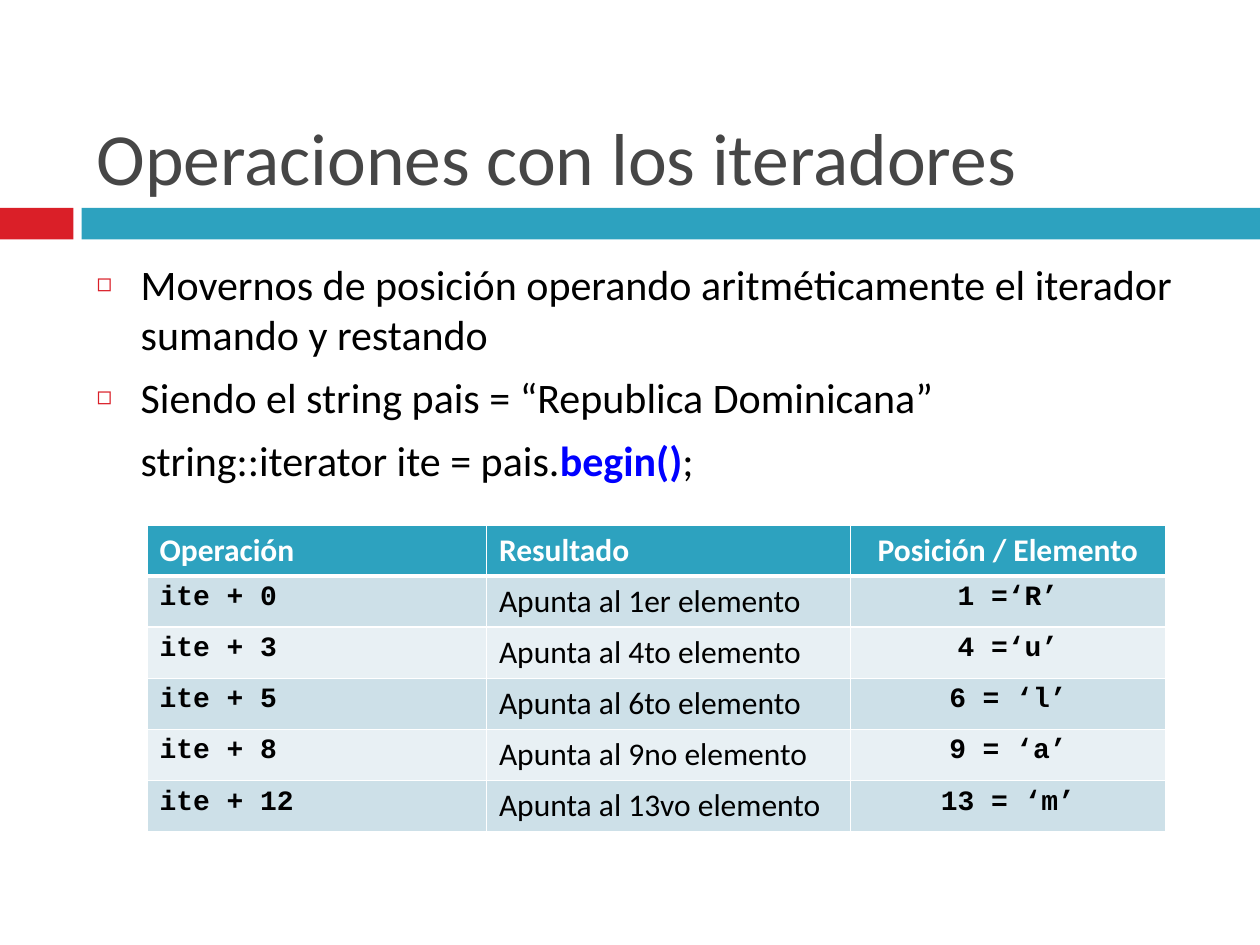
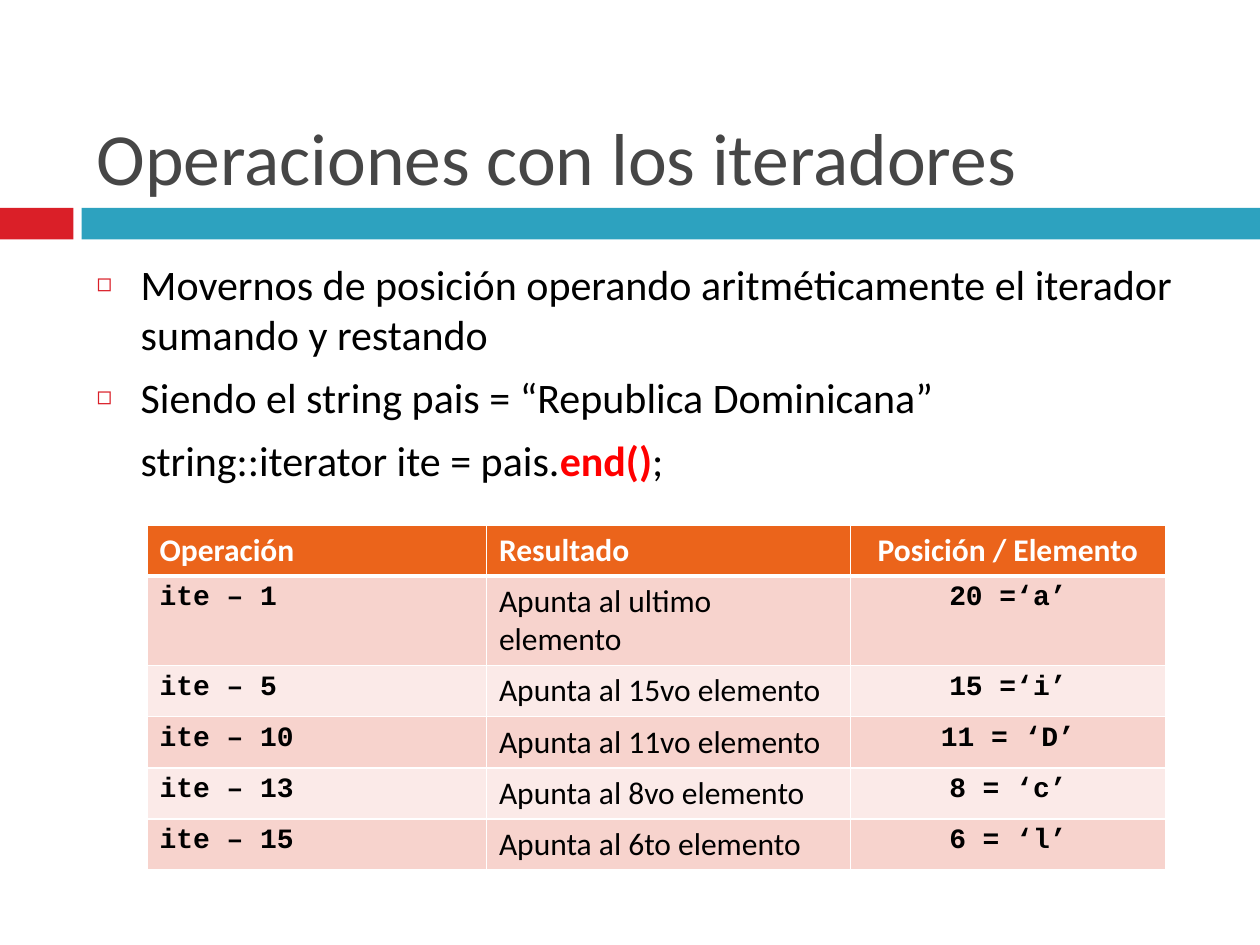
from lxml import etree
from pptx import Presentation
from pptx.dml.color import RGBColor
from pptx.enum.shapes import MSO_SHAPE
from pptx.enum.text import MSO_ANCHOR, MSO_AUTO_SIZE, PP_ALIGN
from pptx.oxml.ns import qn
from pptx.util import Pt

RECT = MSO_SHAPE.RECTANGLE
TOP, BOTTOM = MSO_ANCHOR.TOP, MSO_ANCHOR.BOTTOM
FIXED = MSO_AUTO_SIZE.NONE
LEFT, CENTER = PP_ALIGN.LEFT, PP_ALIGN.CENTER

SANS, MONO = "Calibri", "Courier New"
BLACK = RGBColor(0x00, 0x00, 0x00)
WHITE = RGBColor(0xFF, 0xFF, 0xFF)
GRAY = RGBColor(0x46, 0x46, 0x46)
RED = RGBColor(0xDA, 0x1F, 0x28)
TEAL = RGBColor(0x2D, 0xA2, 0xBF)
ORANGE = RGBColor(0xEB, 0x64, 0x1B)
BLUE = RGBColor(0x00, 0x00, 0xFF)
BRIGHT = RGBColor(0xFF, 0x00, 0x00)
SKY = (RGBColor(0xCD, 0xE0, 0xE8), RGBColor(0xE8, 0xF0, 0xF4))
ROSE = (RGBColor(0xF7, 0xD3, 0xCD), RGBColor(0xFB, 0xEA, 0xE8))

# Boxes: left, top, width, height in points
WIDTH, HEIGHT = 720, 540
TITLE_BOX = (48, 12, 642, 106)
BAND_BOX = (0, 118.8, WIDTH, 18)
BODY_BOX = (48, 144, 642, 342)
TABLE_BOX = (84, 300, 582, 175)

TITLE = "Operaciones con los iteradores"
POINTS = ("Movernos de posición operando aritméticamente el iterador "
          "sumando y restando",
          "Siendo el string pais = “Republica Dominicana”")
HEADS = ("Operación", "Resultado", "Posición / Elemento")
SHARES = (194, 208, 180)
INDENT = 25.2

START = (
    ("ite + 0", "Apunta al 1er elemento", "1 =‘R’"),
    ("ite + 3", "Apunta al 4to elemento", "4 =‘u’"),
    ("ite + 5", "Apunta al 6to elemento", "6 = ‘l’"),
    ("ite + 8", "Apunta al 9no elemento", "9 = ‘a’"),
    ("ite + 12", "Apunta al 13vo elemento", "13 = ‘m’"),
)
FINISH = (
    ("ite – 1", "Apunta al ultimo elemento", "20 =‘a’"),
    ("ite – 5", "Apunta al 15vo elemento", "15 =‘i’"),
    ("ite – 10", "Apunta al 11vo elemento", "11 = ‘D’"),
    ("ite – 13", "Apunta al 8vo elemento", "8 = ‘c’"),
    ("ite – 15", "Apunta al 6to elemento", "6 = ‘l’"),
)


def write(par, text, size=24, font=SANS, color=BLACK, bold=False, align=LEFT):
    """Add one formatted run to a paragraph."""
    par.alignment = align
    run = par.add_run()
    run.text = text
    run.font.size = Pt(size)
    run.font.name = font
    run.font.color.rgb = color
    run.font.bold = bold


def place(shape, box, anchor):
    """Move a placeholder to its box and return its text frame."""
    shape.left, shape.top, shape.width, shape.height = map(Pt, box)
    frame = shape.text_frame
    frame.word_wrap = True
    frame.auto_size = FIXED
    frame.vertical_anchor = anchor
    return frame


def mark(par, bullet):
    """Indent a paragraph, with a hollow square bullet or none."""
    props = par._p.get_or_add_pPr()
    props.set("marL", str(Pt(INDENT)))
    props.set("indent", str(-Pt(INDENT) if bullet else 0))
    if not bullet:
        etree.SubElement(props, qn("a:buNone"))
        return
    tint = etree.SubElement(props, qn("a:buClr"))
    etree.SubElement(tint, qn("a:srgbClr"), val=str(RED))
    etree.SubElement(props, qn("a:buSzPct"), val="60000")
    etree.SubElement(props, qn("a:buFont"), typeface=SANS)
    etree.SubElement(props, qn("a:buChar"), char="◻")


def edge(cell, sides):
    """Draw white cell borders; sides maps a tag to a width."""
    props = cell._tc.get_or_add_tcPr()
    for tag, width in sides.items():
        line = etree.SubElement(props, qn(tag), w=str(Pt(width)))
        fill = etree.SubElement(line, qn("a:solidFill"))
        etree.SubElement(fill, qn("a:srgbClr"), val=str(WHITE))


def bands(slide, box):
    """Red tab and teal bar below the title."""
    left, top, width, height = box
    tab, gap = 42, 4.6
    for x, wide, color in ((left, tab, RED),
                           (left + tab + gap, width - tab - gap, TEAL)):
        bar = slide.shapes.add_shape(RECT, Pt(x), Pt(top), Pt(wide), Pt(height))
        bar.shadow.inherit = False
        bar.fill.solid()
        bar.fill.fore_color.rgb = color
        bar.line.fill.background()


def body(slide, box, call, color):
    """Two bullets and the line of code below them."""
    frame = place(slide.placeholders[1], box, TOP)
    for i, point in enumerate(POINTS + ("string::iterator ite = pais.",)):
        par = frame.add_paragraph() if i else frame.paragraphs[0]
        mark(par, bullet=i < len(POINTS))
        par.space_before = Pt(7 if i else 0)
        write(par, point)
    write(par, call, color=color, bold=True)
    write(par, ";")


def grid(slide, box, rows, accent, tints):
    """Table with a coloured head and striped rows."""
    data = (HEADS,) + rows
    table = slide.shapes.add_table(len(data), len(HEADS), *map(Pt, box)).table
    for col, share in zip(table.columns, SHARES):
        col.width = Pt(box[2] * share / sum(SHARES))
    for r, row in enumerate(data):
        table.rows[r].height = Pt(round(box[3] / len(data), 2))
        for c, text in enumerate(row):
            cell = table.cell(r, c)
            edge(cell, {"a:lnL": 1, "a:lnR": 1, "a:lnT": 3 if r == 1 else 1,
                        "a:lnB": 1 if r else 3})
            cell.fill.solid()
            cell.fill.fore_color.rgb = tints[(r - 1) % 2] if r else accent
            code = r > 0 and c != 1
            write(cell.text_frame.paragraphs[0], text,
                  size=16 if code else 18,
                  font=MONO if code else SANS,
                  color=BLACK if r else WHITE,
                  bold=code or r == 0,
                  align=CENTER if c == 2 else LEFT)


def page(deck, call, color, rows, accent, tints):
    """One slide: title, bands, list and table."""
    slide = deck.slides.add_slide(deck.slide_layouts[1])
    bands(slide, BAND_BOX)
    frame = place(slide.shapes.title, TITLE_BOX, BOTTOM)
    write(frame.paragraphs[0], TITLE, size=42, color=GRAY)
    body(slide, BODY_BOX, call, color)
    grid(slide, TABLE_BOX, rows, accent, tints)


def main():
    deck = Presentation()
    deck.slide_width, deck.slide_height = Pt(WIDTH), Pt(HEIGHT)
    page(deck, "begin()", BLUE, START, TEAL, SKY)
    page(deck, "end()", BRIGHT, FINISH, ORANGE, ROSE)
    deck.save("out.pptx")


if __name__ == "__main__":
    main()
